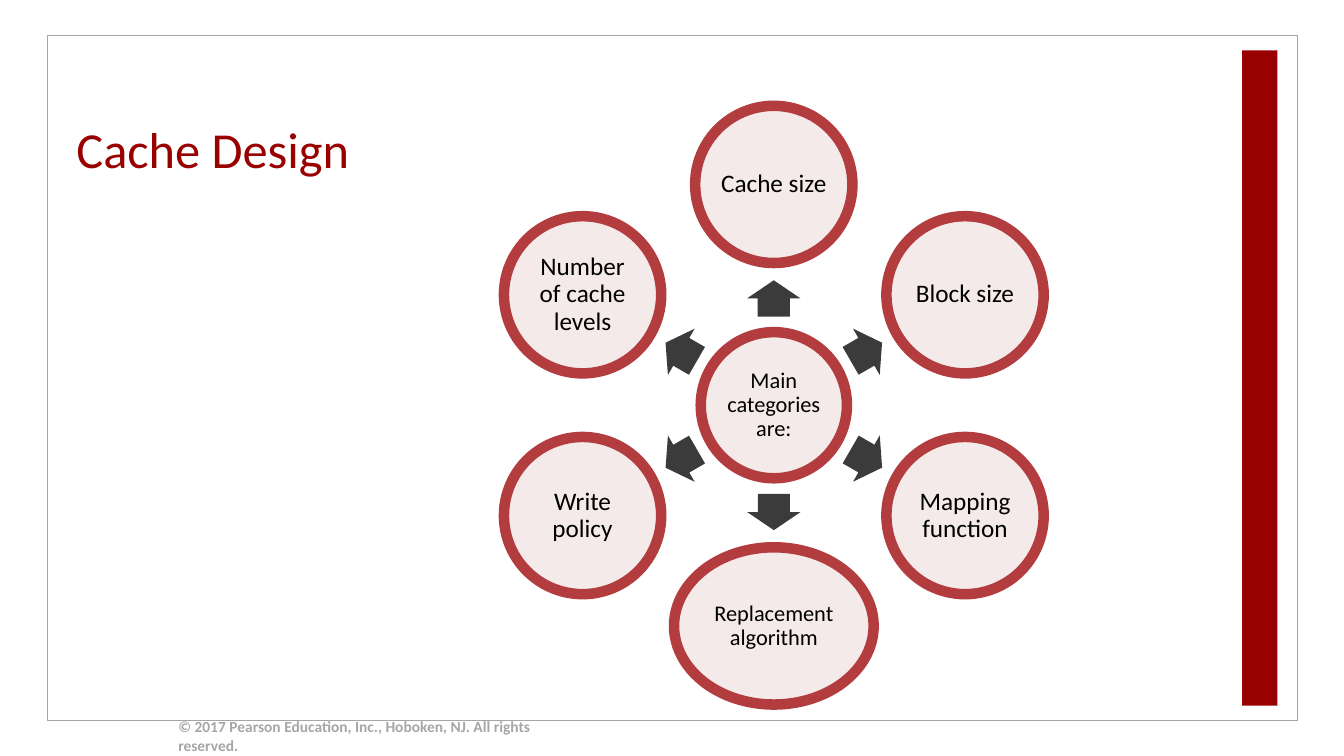
"""Builds the cache design slide with its radial diagram."""
from math import cos, radians, sin

from pptx import Presentation
from pptx.dml.color import RGBColor
from pptx.enum.shapes import MSO_SHAPE
from pptx.enum.text import MSO_ANCHOR, PP_ALIGN
from pptx.util import Inches, Pt

RECT, OVAL, ARROW = MSO_SHAPE.RECTANGLE, MSO_SHAPE.OVAL, MSO_SHAPE.RIGHT_ARROW
MIDDLE, BOTTOM, CENTER = MSO_ANCHOR.MIDDLE, MSO_ANCHOR.BOTTOM, PP_ALIGN.CENTER
RED = RGBColor(0x99, 0x00, 0x00)
RING = RGBColor(0xB2, 0x3C, 0x3E)
BLUSH = RGBColor(0xF5, 0xEA, 0xEA)
DARK = RGBColor(0x3B, 0x3B, 0x3B)
GRAY = RGBColor(0xA6, 0xA6, 0xA6)
BLACK = RGBColor(0x00, 0x00, 0x00)
FONT = "Calibri"
TOPICS = [
    ("Cache size", 18, 1.56),
    ("Block size", 18, 1.56),
    ("Mapping function", 18, 1.56),
    ("Replacement algorithm", 16, 1.98),
    ("Write policy", 18, 1.56),
    ("Number of cache levels", 18, 1.56),
]


def add_part(slide, kind, box, fill=None, line=None, weight=1):
    """Add a flat preset shape in the given box."""
    part = slide.shapes.add_shape(kind, *map(Inches, box))
    part.shadow.inherit = False
    if fill is None:
        part.fill.background()
    else:
        part.fill.solid()
        part.fill.fore_color.rgb = fill
    if line is None:
        part.line.fill.background()
    else:
        part.line.color.rgb = line
        part.line.width = Pt(weight)
    return part


def write(shape, text, size, color, anchor=MIDDLE, bold=False):
    """Put one run of text into a shape and return its paragraph."""
    frame = shape.text_frame
    frame.word_wrap = True
    frame.vertical_anchor = anchor
    para = frame.paragraphs[0]
    run = para.add_run()
    run.text = text
    run.font.name = FONT
    run.font.size = Pt(size)
    run.font.bold = bold
    run.font.color.rgb = color
    return para


def add_frame(slide, box):
    """Draw the gray border and the red bar at its right side."""
    left, top, width, height = box
    add_part(slide, RECT, box, line=GRAY)
    bar = (left + width - 0.55, top + 0.15, 0.35, height - 0.3)
    add_part(slide, RECT, bar, fill=RED)


def add_title(slide, box):
    """Write the slide title at the bottom of the box."""
    title = slide.shapes.add_textbox(*map(Inches, box))
    title.text_frame.margin_top = title.text_frame.margin_bottom = 0
    para = write(title, "Cache Design", 36, RED, BOTTOM)
    para.line_spacing = Pt(54)


def add_footer(slide, box):
    """Write the copyright line."""
    note = slide.shapes.add_textbox(*map(Inches, box))
    write(note, "© 2017 Pearson Education, Inc., Hoboken, NJ. All rights reserved.",
          11, GRAY, bold=True)


def add_disc(slide, x, y, width, height, text, size):
    """Draw a ringed ellipse around a centre with its label."""
    box = (x - width / 2, y - height / 2, width, height)
    disc = add_part(slide, OVAL, box, BLUSH, RING, 7.5)
    frame = disc.text_frame
    frame.margin_left = frame.margin_right = Inches(0.02)
    frame.margin_top = frame.margin_bottom = Inches(0.02)
    para = write(disc, text, size, BLACK)
    para.alignment = CENTER
    para.line_spacing = 0.9


def add_wheel(slide, box):
    """Set the topics evenly on a circle around the hub, with arrows."""
    left, top, width, height = box
    x, y = left + width / 2, top + height / 2
    tall = 1.56
    reach = (height - tall) / 2
    step = 360 / len(TOPICS)
    add_disc(slide, x, y, 1.45, 1.45, "Main categories are:", 16)
    for i, (text, size, wide) in enumerate(TOPICS):
        turn = i * step - 90
        dx, dy = cos(radians(turn)), sin(radians(turn))
        spot = (x + 1.06 * dx - 0.18, y + 1.06 * dy - 0.265, 0.36, 0.53)
        arrow = add_part(slide, ARROW, spot, fill=DARK)
        arrow.adjustments[0] = 0.6
        arrow.adjustments[1] = 0.5
        arrow.rotation = turn % 360
        add_disc(slide, x + reach * dx, y + reach * dy, wide, tall, text, size)


def main():
    """Build and save the slide."""
    deck = Presentation()
    deck.slide_width, deck.slide_height = Inches(13.33), Inches(7.5)
    slide = deck.slides.add_slide(deck.slide_layouts[6])
    add_frame(slide, (0.47, 0.35, 12.4, 6.8))
    add_title(slide, (0.66, 0.5, 5.78, 1.27))
    add_footer(slide, (1.67, 7.1, 3.74, 0.4))
    add_wheel(slide, (5, 1.05, 5.35, 5.94))
    deck.save("out.pptx")


if __name__ == "__main__":
    main()
